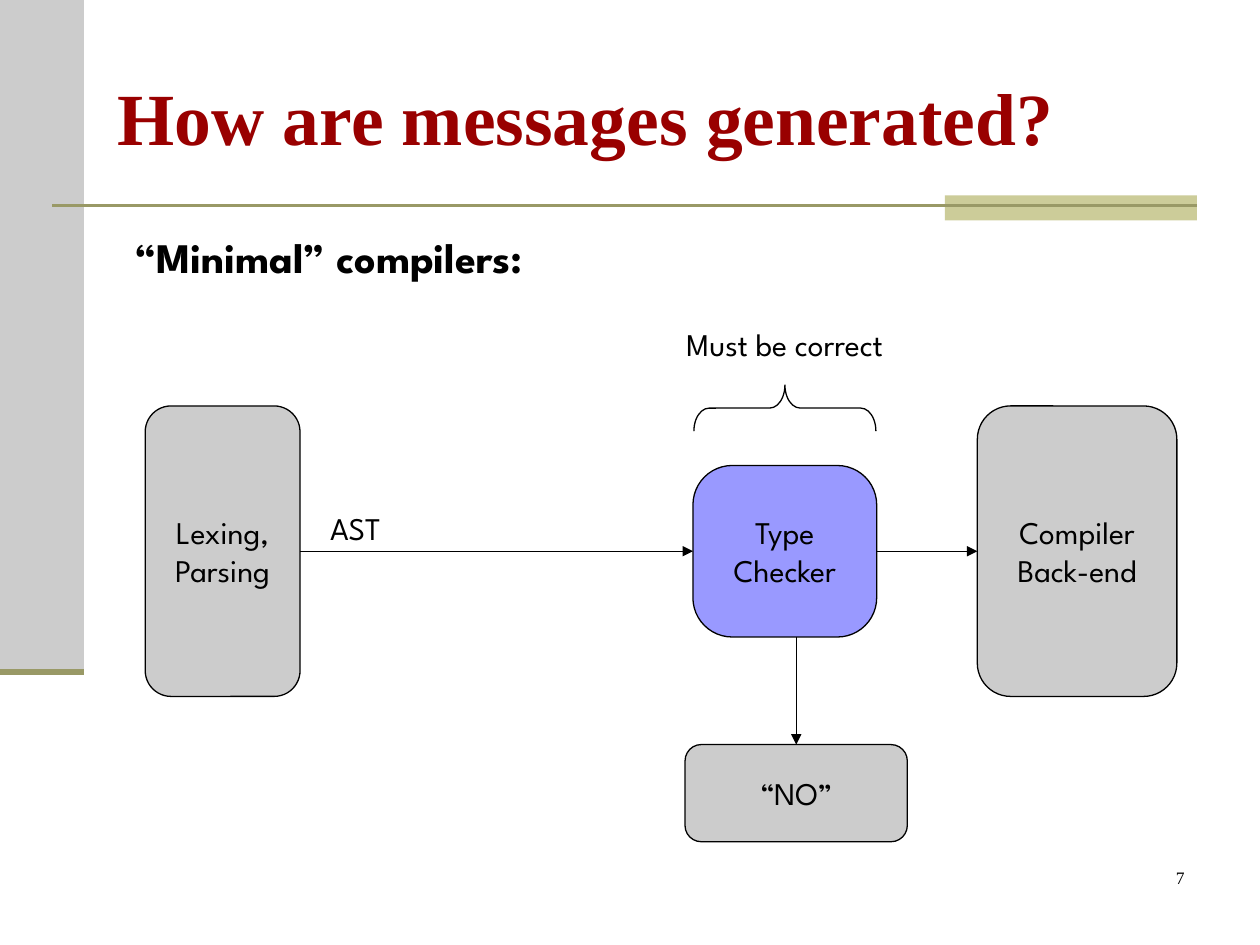
from dataclasses import dataclass

from lxml.etree import SubElement
from pptx import Presentation
from pptx.dml.color import RGBColor
from pptx.enum.shapes import MSO_CONNECTOR, MSO_SHAPE
from pptx.enum.text import MSO_ANCHOR, MSO_AUTO_SIZE, PP_ALIGN
from pptx.oxml.ns import qn
from pptx.util import Pt


@dataclass(frozen=True)
class Theme:
    black: str = "000000"
    title: str = "990000"
    grey: str = "CCCCCC"
    khaki: str = "CCCC99"
    olive: str = "999966"
    violet: str = "9999FF"
    serif: str = "Times New Roman"
    sans: str = "League Spartan"
    title_size: int = 42
    heading_size: int = 24
    body_size: int = 18
    number_size: int = 10
    outline: float = 0.75


THEME = Theme()
TOP, LEFT, BOTTOM, RIGHT = range(4)
FLOW_Y = 315


def points(*values):
    return [Pt(value) for value in values]


def write_text(shape, text, size=THEME.body_size, name=THEME.sans, color=THEME.black,
               bold=False, alignment=PP_ALIGN.CENTER, anchor=MSO_ANCHOR.MIDDLE, wrap=True):
    frame = shape.text_frame
    frame.text = text
    frame_format = {"word_wrap": wrap, "auto_size": MSO_AUTO_SIZE.NONE, "vertical_anchor": anchor}
    for attribute, value in frame_format.items():
        setattr(frame, attribute, value)
    font_format = {"size": Pt(size), "name": name, "bold": bold}
    for paragraph in frame.paragraphs:
        paragraph.alignment = alignment
        for attribute, value in font_format.items():
            setattr(paragraph.font, attribute, value)
        paragraph.font.color.rgb = RGBColor.from_string(color)


def add_title(slide, text):
    title = slide.shapes.title
    title.left, title.top, title.width, title.height = points(60, 21.6, 624, 90)
    write_text(title, text, THEME.title_size, THEME.serif, THEME.title, True, PP_ALIGN.LEFT)


def add_label(slide, box, text, **text_format):
    label = slide.shapes.add_textbox(*points(*box))
    write_text(label, text, anchor=MSO_ANCHOR.TOP, **text_format)


def add_shape(slide, kind, box, fill=None, outline=None):
    shape = slide.shapes.add_shape(kind, *points(*box))
    shape.shadow.inherit = False
    if fill:
        shape.fill.solid()
        shape.fill.fore_color.rgb = RGBColor.from_string(fill)
    else:
        shape.fill.background()
    if outline:
        shape.line.color.rgb = RGBColor.from_string(outline)
        shape.line.width = Pt(THEME.outline)
    else:
        shape.line.fill.background()
    return shape


def add_stage(slide, box, text, fill=THEME.grey, corner=0.167):
    stage = add_shape(slide, MSO_SHAPE.ROUNDED_RECTANGLE, box, fill, THEME.black)
    stage.adjustments[0] = corner
    write_text(stage, text, wrap=False)
    return stage


def add_line(slide, ends, color=THEME.black, width=THEME.outline):
    line = slide.shapes.add_connector(MSO_CONNECTOR.STRAIGHT, *points(*ends))
    line.line.color.rgb = RGBColor.from_string(color)
    line.line.width = Pt(width)
    SubElement(line._element.spPr, qn("a:effectLst"))
    return line


def add_arrow(slide, ends):
    arrow = add_line(slide, ends)
    SubElement(arrow.line._get_or_add_ln(), qn("a:tailEnd"), type="triangle")
    return arrow


def add_flow(slide, source, target):
    """Arrow from the right side of one stage to the left side of the next."""
    arrow = add_arrow(slide, (0, FLOW_Y, 0, FLOW_Y))
    arrow.begin_connect(source, RIGHT)
    arrow.end_connect(target, LEFT)


def add_decoration(slide):
    add_shape(slide, MSO_SHAPE.RECTANGLE, (0, 0, 48, 384), THEME.grey)
    add_shape(slide, MSO_SHAPE.RECTANGLE, (540, 111.6, 144, 14.4), THEME.khaki)
    add_line(slide, (30, 117.6, 684, 117.6), THEME.olive, 1.5)
    add_line(slide, (0, 384, 48, 384), THEME.olive, 3.5)


def add_brace(slide):
    brace = add_shape(slide, MSO_SHAPE.LEFT_BRACE, (435.3, 181.2, 26.4, 104), outline=THEME.black)
    brace.rotation = 90
    brace.adjustments[0] = 0.33


def add_pipeline(slide):
    stages = [
        add_stage(slide, (left, FLOW_Y - height / 2, width, height), text, fill, corner)
        for left, width, height, text, fill, corner in (
            (83, 88.5, 166, "Lexing,\nParsing", THEME.grey, 0.167),
            (396, 105, 98, "Type\nChecker", THEME.violet, 0.229),
            (558.5, 114, 166, "Compiler\nBack-end", THEME.grey, 0.167),
        )
    ]
    for source, target in zip(stages, stages[1:]):
        add_flow(slide, source, target)

    rejection = add_stage(slide, (391.5, 425.5, 127, 55.5), "“NO”")
    add_arrow(slide, (455, FLOW_Y + 49, 455, 425.5)).end_connect(rejection, TOP)


def main():
    presentation = Presentation()
    presentation.slide_width, presentation.slide_height = points(720, 540)
    slide = presentation.slides.add_slide(presentation.slide_layouts[5])

    add_decoration(slide)
    add_title(slide, "How are messages generated?")
    add_label(slide, (70, 129, 265, 36), "“Minimal” compilers:",
              size=THEME.heading_size, bold=True, alignment=PP_ALIGN.LEFT)
    add_pipeline(slide)
    add_label(slide, (181.5, 287.3, 46, 29), "AST", alignment=PP_ALIGN.LEFT)
    add_label(slide, (375, 182.3, 147, 29), "Must be correct")
    add_brace(slide)
    add_label(slide, (534, 492, 150, 36), "7", size=THEME.number_size,
              name=THEME.serif, alignment=PP_ALIGN.RIGHT)

    presentation.save("out.pptx")


if __name__ == "__main__":
    main()
